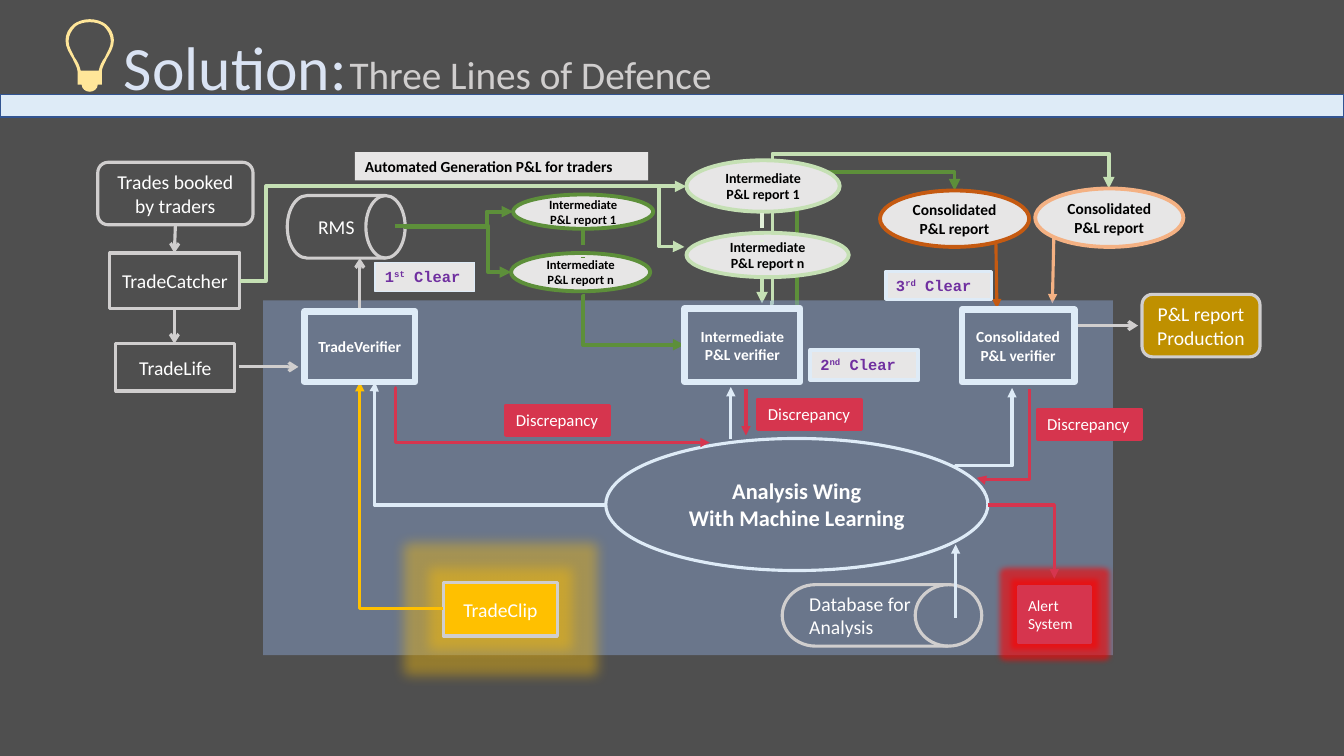
from dataclasses import dataclass
from functools import partial
from typing import Optional

import pptx
import pptx.dml.color
import pptx.enum.dml
import pptx.enum.shapes
import pptx.enum.text
import pptx.oxml
import pptx.oxml.ns
import pptx.util

COLORS = {
    "ground": "4F4F4F", "panel": "8FAADC", "ice": "DEEBF7", "title": "DAE3F3",
    "navy": "325491", "silver": "D0CECE", "paper": "E7E6E6", "white": "FFFFFF",
    "black": "000000", "purple": "7030A0", "red": "D6354E", "alarm": "FF0000",
    "amber": "FFC000", "ochre": "BF9000", "bulb": "FFE699", "mint": "C5E0B4",
    "pale": "E2F0D9", "green": "5D8F3A", "rust": "C55A11", "peach": "F4B183",
}
CELL = pptx.util.Inches(0.1)  # the slide is a grid of 133.33 columns by 75 rows
COLS, ROWS = 133.33, 75
MSO = pptx.enum.shapes.MSO_SHAPE
ALIGN = pptx.enum.text.PP_ALIGN
ANCHOR = pptx.enum.text.MSO_ANCHOR


@dataclass
class Node:
    x: float
    y: float
    w: float
    h: float
    text: str = ""
    shape: Optional[int] = MSO.RECTANGLE  # None gives a text box
    fill: Optional[str] = None
    opacity: int = 100
    line: Optional[str] = None
    weight: float = 2.25
    size: float = 14
    color: str = "white"
    font: str = "Calibri"
    bold: bool = False
    align: int = ALIGN.CENTER
    anchor: int = ANCHOR.MIDDLE
    wrap: bool = True
    glow: Optional[tuple] = None  # colour, radius in points, opacity


@dataclass
class Route:
    begin: tuple
    end: tuple
    color: str
    bends: tuple = ()  # where the elbow turns, as shares of its extent
    corner: bool = False  # one turn only
    upright: bool = False  # sets out vertically
    weight: float = 2.25
    head: Optional[str] = "triangle"


def cells(n: float) -> int:
    return round(n * CELL)


def rgb(name: str):
    return pptx.dml.color.RGBColor.from_string(COLORS[name])


def xml(tag: str, body: str = "", **attrs):
    ns = pptx.oxml.ns.nsdecls("a")
    pairs = " ".join(f'{k}="{v}"' for k, v in attrs.items())
    return pptx.oxml.parse_xml(f"<a:{tag} {ns} {pairs}>{body}</a:{tag}>")


def tint(name: str, percent: int):
    alpha = f'<a:alpha val="{percent * 1000}"/>'
    return xml("srgbClr", alpha, val=COLORS[name])


def write(tf, text: str, *, size: float, color: str, font: str = "Calibri", bold: bool = False,
          align=ALIGN.LEFT, anchor=ANCHOR.MIDDLE, wrap: bool = True, spacing: float = 1.0) -> None:
    """Newlines part paragraphs; text between carets is superscript."""
    tf.word_wrap, tf.vertical_anchor = wrap, anchor
    tf.auto_size = pptx.enum.text.MSO_AUTO_SIZE.NONE
    for i, row in enumerate(text.split("\n")):
        p = tf.add_paragraph() if i else tf.paragraphs[0]
        p.alignment, p.line_spacing = align, spacing
        for j, piece in enumerate(row.split("^")):
            r = p.add_run()
            r.text = piece
            r.font.size, r.font.name, r.font.bold = pptx.util.Pt(size), font, bold
            r.font.color.rgb = rgb(color)
            if j % 2:
                r.font._element.set("baseline", "30000")


def draw_node(shapes, n: Node) -> None:
    box = [cells(v) for v in (n.x, n.y, n.w, n.h)]
    sp = shapes.add_textbox(*box) if n.shape is None else shapes.add_shape(n.shape, *box)
    sp.shadow.inherit = False
    if n.fill:
        sp.fill.solid()
        sp.fill.fore_color.rgb = rgb(n.fill)
        if n.opacity < 100:
            fill = sp._element.spPr.find(pptx.oxml.ns.qn("a:solidFill"))
            fill.replace(fill[0], tint(n.fill, n.opacity))
    else:
        sp.fill.background()
    if n.line:
        sp.line.color.rgb, sp.line.width = rgb(n.line), pptx.util.Pt(n.weight)
    else:
        sp.line.fill.background()
    if n.glow:
        name, radius, percent = n.glow
        glow = xml("glow", rad=pptx.util.Pt(radius))
        glow.append(tint(name, percent))
        sp._element.spPr.find(pptx.oxml.ns.qn("a:effectLst")).append(glow)
    if n.text:
        write(sp.text_frame, n.text, size=n.size, color=n.color, font=n.font, bold=n.bold,
              align=n.align, anchor=n.anchor, wrap=n.wrap)


def draw_route(shapes, t: Route) -> None:
    (x1, y1), (x2, y2) = t.begin, t.end
    kinds = pptx.enum.shapes.MSO_CONNECTOR
    if t.bends or t.corner:
        # The frame is laid flat about its centre, then turned and flipped
        w, h = abs(x2 - x1), abs(y2 - y1)
        if t.upright:
            w, h = h, w
        left, top = (x1 + x2 - w) / 2, (y1 + y2 - h) / 2
        c = shapes.add_connector(kinds.ELBOW, *map(cells, (left, top, left + w, top + h)))
        back, across = (y2 < y1, x2 > x1) if t.upright else (x2 < x1, y2 < y1)
        xfrm, geom = c._element.spPr.xfrm, c._element.spPr.prstGeom
        xfrm.set("rot", str(5400000 * t.upright))
        xfrm.set("flipH", str(int(back)))
        xfrm.set("flipV", str(int(across)))
        geom.set("prst", f"bentConnector{len(t.bends) + 2}")
        for old in list(geom):
            geom.remove(old)
        guides = "".join(f'<a:gd name="adj{i if len(t.bends) > 1 else 1}" '
                         f'fmla="val {round(b * 100000)}"/>' for i, b in enumerate(t.bends, 1))
        geom.append(xml("avLst", guides))
    else:
        c = shapes.add_connector(kinds.STRAIGHT, *map(cells, (x1, y1, x2, y2)))
    c.line.color.rgb, c.line.width = rgb(t.color), pptx.util.Pt(t.weight)
    if t.head:
        c.line._get_or_add_ln().append(xml("tailEnd", type=t.head))
    else:
        c.line.dash_style = pptx.enum.dml.MSO_LINE.DASH
    c._element.spPr.append(xml("effectLst"))


# Light bulb: right halves, as offsets from its axis; three points make a curve
BULB_AXIS = 8.9
GLASS = [[(0, 1.9)], [(.6, 1.9), (1.2, 2.1), (1.6, 2.4)], [(2.1, 2.8), (2.4, 3.4), (2.4, 4)],
         [(2.4, 4.7), (2, 5.3), (1.7, 5.8)], [(1.5, 6.3), (1.2, 6.7), (1.2, 7.1)],
         [(1.2, 8.4)], [(.8, 8.4)], [(.8, 8.8), (.4, 9.1), (0, 9.1)]]
HOLLOW = [[(0, 2.2)], [(.5, 2.2), (1, 2.3), (1.4, 2.6)], [(1.8, 3), (2.1, 3.5), (2.1, 4.1)],
          [(2.1, 4.7), (1.7, 5.2), (1.5, 5.7)], [(1.2, 6.1), (1, 6.5), (.9, 7)], [(0, 7)]]


def outline(half: list) -> list:
    pts = [p for piece in half for p in piece]
    pts += [(-x, y) for x, y in reversed(pts[:-1])]
    return [(cells(BULB_AXIS + x), cells(y)) for x, y in pts]


def draw_bulb(shapes) -> None:
    outer, inner = outline(GLASS), outline(HOLLOW)
    fb = shapes.build_freeform(*outer[0], scale=1.0)
    fb.add_line_segments(outer[1:], close=True)
    fb.move_to(*inner[0])
    fb.add_line_segments(inner[1:], close=True)
    sp = fb.convert_to_shape()
    # Join each three points into one curve
    sizes = []
    for half in (GLASS, HOLLOW):
        right = [len(piece) for piece in half[1:]]
        sizes += right + right[::-1]
    segments = iter(list(sp._element.iter(pptx.oxml.ns.qn("a:lnTo"))))
    for size in sizes:
        group = [next(segments) for _ in range(size)]
        if size == 3:
            curve = xml("cubicBezTo")
            group[0].addprevious(curve)
            for segment in group:
                curve.append(segment[0])
                segment.getparent().remove(segment)
    sp.shadow.inherit = False
    sp.fill.solid()
    sp.fill.fore_color.rgb = rgb("bulb")
    sp.line.fill.background()


# Families of nodes and routes
step = partial(Node, line="silver")
rounded = partial(step, shape=MSO.FLOWCHART_ALTERNATE_PROCESS)
drum = partial(step, shape=MSO.FLOWCHART_DIRECT_ACCESS_STORAGE)
verifier = partial(Node, line="ice", weight=4.5, size=11, bold=True)
report = partial(Node, shape=MSO.OVAL, fill="paper", weight=2.75, color="black", bold=True)
clear = partial(Node, fill="paper", line="ice", size=11, color="purple", font="Courier New",
                bold=True, align=ALIGN.LEFT, anchor=ANCHOR.TOP)
discrepancy = partial(Node, w=10.3, h=3, text="Discrepancy", fill="red", line="red", size=12,
                      align=ALIGN.LEFT, anchor=ANCHOR.TOP, wrap=False)
flow = partial(Route, color="silver", head="arrow")
mint = partial(Route, color="mint", weight=2.75)
green = partial(Route, color="green", weight=2.75)
ice = partial(Route, color="ice")
red = partial(Route, color="red")

BACK_ROUTES = [
    Route((104.6, 21.1), (104.4, 30.1), "peach"),
    mint((76.4, 30.1), (110, 18.7), bends=(.007, 1.302)),
    green((79.3, 30.2), (94.7, 18.9), bends=(-.015, 1.159)),
    mint((75.6, 27.2), (75.6, 30.1)),
]
NODES = [
    Node(26.1, 29.8, 84.3, 35.2, fill="panel", opacity=43),
    Node(0, 9.4, COLS, 2.2, fill="ice", line="navy", weight=1),
    rounded(9.7, 16.1, 15.4, 6.2, "Trades booked by traders"),
    step(10.9, 25.1, 12.9, 5.5, "TradeCatcher"),
    step(11.5, 34.1, 11.8, 4.7, "TradeLife"),
    rounded(113.3, 29.2, 11.7, 6.2, "P&L report Production", fill="ochre"),
    step(44, 57.8, 11.3, 5.3, "TradeClip", fill="amber", glow=("amber", 18, 40)),
    Node(60.1, 43.5, 37.9, 13.1, "Analysis Wing\nWith Machine Learning", shape=MSO.OVAL,
         line="ice", size=16, bold=True),
    Node(101, 58.2, 7.2, 5.5, "Alert System", fill="red", line="red", size=11,
         align=ALIGN.LEFT, glow=("alarm", 8, 60)),
    drum(28.5, 19.4, 11.7, 6.2, "RMS"),
    drum(77.6, 58, 19.8, 6.1),
    Node(79.3, 58.2, 12.3, 5.7, "Database for\nAnalysis", shape=None, align=ALIGN.LEFT,
         anchor=ANCHOR.TOP),
    Node(35.2, 15.1, 29.1, 2.8, "Automated Generation P&L for traders", fill="paper", size=11,
         color="black", bold=True, align=ALIGN.LEFT, anchor=ANCHOR.TOP),
    report(50.9, 19.3, 13.9, 3.4, "Intermediate P&L report 1", line="green", size=9),
    report(50.7, 25.1, 13.8, 3.8, "Intermediate P&L report n", line="green", size=9),
    report(68.1, 15.9, 15.2, 5.1, "Intermediate P&L report 1", line="mint", size=10),
    report(68.1, 23.1, 16.1, 4.4, "Intermediate P&L report n", line="mint", size=10),
    report(87.3, 18.9, 14.8, 5.6, "Consolidated P&L report", line="rust", size=11),
    report(102.7, 18.7, 14.7, 5.8, "Consolidated P&L report", line="peach", size=11),
]
FRONT_ROUTES = [
    # Trade booking
    flow((17.4, 22.4), (17.3, 25.1)), flow((17.3, 30.6), (17.3, 34.1)),
    flow((23.7, 36.4), (29.6, 36.4)), flow((35.7, 30.9), (35.7, 25.6)),
    flow((106.9, 32.3), (112.9, 32.3)),
    # Reports
    mint((23.8, 27.9), (68.1, 18.5), bends=(.058,)),
    mint((65.4, 18.5), (67.9, 24.5), bends=(.993,), upright=True),
    green((40.1, 22.5), (50.9, 21), bends=(.758,)),
    green((39.2, 22.4), (50.7, 27), bends=(.803,)),
    green((58, 29.4), (67.9, 34.2), bends=(-.018,)),
    green((57.8, 22.8), (57.8, 25.6), head=None),
    Route((75.6, 21.1), (75.6, 24), "pale", weight=2.75, head=None),
    Route((98.8, 24.2), (98.9, 30.6), "rust"),
    # Analysis
    ice((60.1, 50.1), (37.2, 37.9), bends=(1.003,)),
    ice((94.8, 61.3), (94.8, 54)), ice((72.5, 43.6), (72.5, 38.4)),
    ice((94.8, 46.4), (100.4, 38.5), bends=(.024,), upright=True),
    red((39.2, 38.4), (70.4, 43.9), bends=(.002,)),
    red((74, 38.6), (74, 43.2)),
    red((102.1, 38.6), (96.9, 47.4), bends=(1.022,), upright=True),
    red((98, 50.1), (104.6, 57.4), corner=True),
    Route((44, 60.4), (35.7, 37.9), "amber", corner=True),
]
FRONT_NODES = [
    verifier(30.2, 30.9, 11, 7, "TradeVerifier"),
    verifier(67.9, 30.6, 11.5, 7.3, "Intermediate\nP&L verifier"),
    verifier(95.4, 30.7, 11.2, 7.2, "Consolidated\nP&L verifier"),
    clear(37.2, 26, 9.9, 2.9, "1^st^ Clear", weight=.75),
    clear(80.4, 34.7, 10.7, 3, "2^nd^ Clear", weight=2.75),
    clear(87.9, 26.9, 10.5, 2.8, "3^rd^ Clear"),
    discrepancy(50.2, 40.2), discrepancy(75.2, 39.6), discrepancy(102.9, 40.6),
]


def main() -> None:
    prs = pptx.Presentation()
    prs.slide_width, prs.slide_height = cells(COLS), cells(ROWS)
    s = prs.slides.add_slide(prs.slide_layouts[5])
    s.background.fill.solid()
    s.background.fill.fore_color.rgb = rgb("ground")

    # Diagram, from back to front
    for part in BACK_ROUTES + NODES + FRONT_ROUTES + FRONT_NODES:
        draw = draw_node if isinstance(part, Node) else draw_route
        draw(s.shapes, part)

    # Heading
    title = s.shapes.title
    title.left, title.top, title.width, title.height = map(cells, (11.3, 5.3, 31.1, 3.4))
    write(title.text_frame, "Solution:", size=44, color="title", spacing=.9)
    sub = s.shapes.add_textbox(*map(cells, (33.7, 5.7, 98, 3.8)))
    write(sub.text_frame, "Three Lines of Defence", size=28, color="silver", spacing=.9)
    draw_bulb(s.shapes)
    prs.save("out.pptx")


if __name__ == "__main__":
    main()
